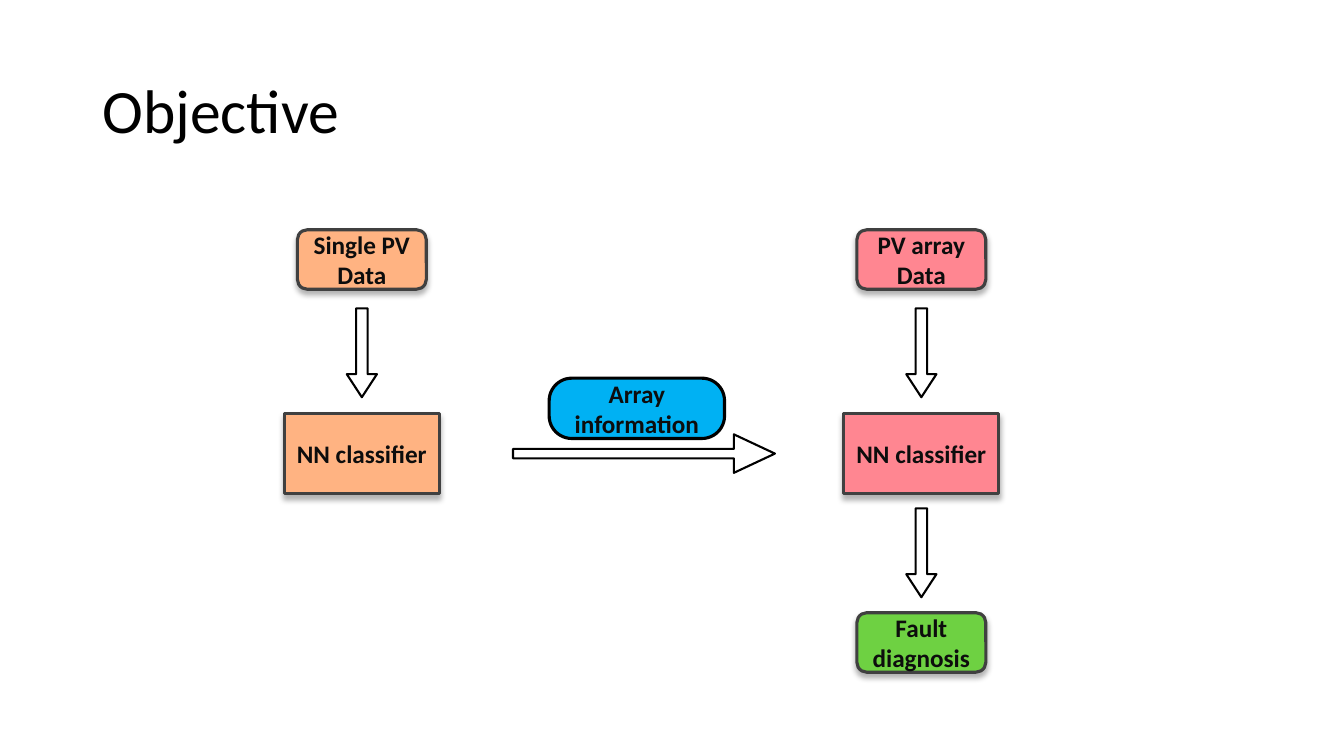
from dataclasses import dataclass

from lxml.etree import SubElement
from pptx import Presentation
from pptx.dml.color import RGBColor
from pptx.enum.shapes import MSO_SHAPE
from pptx.enum.text import MSO_ANCHOR, PP_ALIGN
from pptx.oxml.ns import qn
from pptx.util import Cm, Pt


@dataclass(frozen=True)
class Theme:
    font: str = "Calibri"
    black: str = "000000"
    ink: str = "0D0D0D"
    edge: str = "404040"
    peach: str = "FFB382"
    rose: str = "FF8691"
    blue: str = "00B1F3"
    green: str = "6ED142"
    head: int = 44
    label: int = 18
    thick: float = 2.25
    thin: float = 1.5


def write(frame, text, font, size, color, bold=False, align=PP_ALIGN.CENTER, space=None):
    frame.word_wrap = True
    frame.vertical_anchor = MSO_ANCHOR.MIDDLE
    frame.text = text
    para = frame.paragraphs[0]
    para.alignment = align
    if space:
        para.line_spacing = space
    face = para.runs[0].font
    face.name, face.size, face.bold = font, Pt(size), bold
    face.color.rgb = RGBColor.from_string(color)


def shade(shape):
    """Give the shape a soft shadow straight below it."""
    effects = shape._element.spPr.find(qn("a:effectLst"))
    outer = SubElement(effects, qn("a:outerShdw"), blurRad=str(Pt(4)),
                       dist=str(Pt(3)), dir="5400000", rotWithShape="0")
    color = SubElement(outer, qn("a:srgbClr"), val="000000")
    SubElement(color, qn("a:alpha"), val="30000")


class Board:
    def __init__(self, slide, theme):
        self.slide, self.theme = slide, theme

    def title(self, text):
        head = self.slide.shapes.title
        head.left, head.top = Cm(2.33), Cm(1.01)
        head.width, head.height = Cm(29.21), Cm(3.68)
        write(head.text_frame, text, self.theme.font, self.theme.head,
              self.theme.black, align=PP_ALIGN.LEFT, space=0.9)

    def shape(self, kind, mid, size, line, weight, adjust=()):
        """Add an outlined shape centred on the point mid."""
        (x, y), (w, h) = mid, size
        shape = self.slide.shapes.add_shape(
            kind, Cm(x - w / 2), Cm(y - h / 2), Cm(w), Cm(h))
        shape.shadow.inherit = False
        shape.fill.background()
        shape.line.color.rgb = RGBColor.from_string(line)
        shape.line.width = Pt(weight)
        for i, value in enumerate(adjust):
            shape.adjustments[i] = value
        return shape

    def box(self, text, mid, size, fill, kind=MSO_SHAPE.ROUNDED_RECTANGLE,
            line=None, adjust=(), shadow=True):
        theme = self.theme
        shape = self.shape(kind, mid, size, line or theme.edge, theme.thick, adjust)
        shape.fill.solid()
        shape.fill.fore_color.rgb = RGBColor.from_string(fill)
        if shadow:
            shade(shape)
        write(shape.text_frame, text, theme.font, theme.label, theme.ink, bold=True)

    def arrow(self, mid, size=(0.76, 2.24), adjust=(0.383, 0.764), turn=0):
        shape = self.shape(MSO_SHAPE.DOWN_ARROW, mid, size,
                           self.theme.black, self.theme.thin, adjust)
        shape.rotation = turn


def main():
    deck = Presentation()
    deck.slide_width, deck.slide_height = Cm(33.87), Cm(19.05)
    theme = Theme()
    board = Board(deck.slides.add_slide(deck.slide_layouts[5]), theme)
    board.title("Objective")

    left, right = 9.12, 23.22
    data_y, net_y, fault_y = 6.54, 11.43, 16.19
    small, large = (3.25, 1.5), (3.91, 2.03)

    for x, text, fill in ((left, "Single PV Data", theme.peach),
                          (right, "PV array Data", theme.rose)):
        board.box(text, (x, data_y), small, fill)
        board.arrow((x, 8.89))
        board.box("NN classifier", (x, net_y), large, fill, MSO_SHAPE.RECTANGLE)

    board.arrow((right, 13.93))
    board.box("Fault diagnosis", (right, fault_y), small, theme.green)

    board.box("Array information", (16.05, 10.29), (4.42, 1.52), theme.blue,
              line=theme.black, adjust=(0.375,), shadow=False)
    board.arrow((16.23, net_y), (0.97, 6.6), (0.244, 1.067), turn=270)

    deck.save("out.pptx")


if __name__ == "__main__":
    main()
